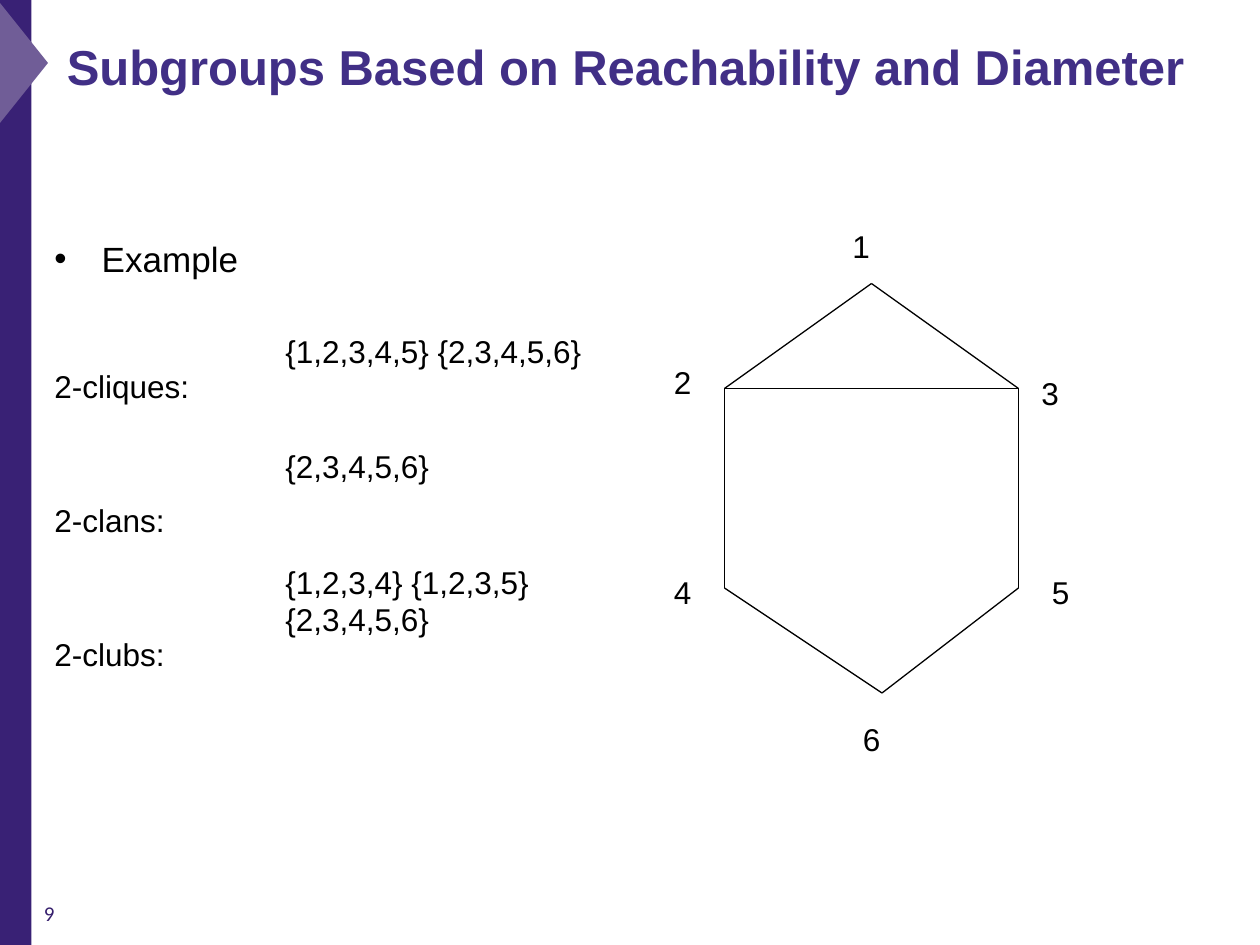
"""Build the slide on subgroups based on reachability and diameter."""
from lxml import etree
from pptx import Presentation
from pptx.dml.color import RGBColor
from pptx.enum.shapes import MSO_CONNECTOR, MSO_SHAPE
from pptx.enum.text import MSO_ANCHOR, MSO_AUTO_SIZE, PP_ALIGN
from pptx.oxml.ns import qn
from pptx.util import Pt

RECT, WEDGE = MSO_SHAPE.RECTANGLE, MSO_SHAPE.ISOSCELES_TRIANGLE
LINE = MSO_CONNECTOR.STRAIGHT
LEFT, TOP, BOTTOM = PP_ALIGN.LEFT, MSO_ANCHOR.TOP, MSO_ANCHOR.BOTTOM
FIXED = MSO_AUTO_SIZE.NONE

THEME = {
    "font": "Arial", "alt": "Calibri",
    "ink": "000000", "title": "412F86", "bar": "392175",
    "wedge": "705D97", "page": "361F6D",
    "head": 28, "lead": 20, "text": 18, "small": 12, "line": 0.75,
}

TITLE = "Subgroups Based on Reachability and Diameter"
PAGE = "9"
TERMS = ["Example", "2-cliques:", "2-clans:", "2-clubs:"]
GAPS = [2, 50, 55, 55]
SETS = [
    "{1,2,3,4,5} {2,3,4,5,6}",
    "{2,3,4,5,6}",
    "{1,2,3,4} {1,2,3,5}\n{2,3,4,5,6}",
]
NODES = {
    "1": (498, 162), "2": (414, 222), "3": (582, 222),
    "4": (414, 336), "5": (582, 336), "6": (504, 396),
}
TAGS = {
    "1": (480, 126), "2": (378, 204), "3": (588, 210),
    "4": (378, 324), "5": (594, 324), "6": (486, 408),
}
EDGES = ["12", "24", "46", "65", "13", "35", "23"]


def color(name):
    return RGBColor.from_string(THEME[name])


def place(shape, box):
    shape.left, shape.top, shape.width, shape.height = map(Pt, box)


def write(shape, text, size="text", ink="ink", font="font", bold=False, anchor=TOP):
    frame = shape.text_frame
    frame.text = text
    frame.word_wrap = True
    frame.auto_size = FIXED
    frame.vertical_anchor = anchor
    for para in frame.paragraphs:
        para.alignment = LEFT
        for run in para.runs:
            run.font.name = THEME[font]
            run.font.size = Pt(THEME[size])
            run.font.bold = bold
            run.font.color.rgb = color(ink)
    return frame


def add_text(slide, box, text, **style):
    return write(slide.shapes.add_textbox(*map(Pt, box)), text, **style)


def add_block(slide, kind, box, fill, turn=0):
    shape = slide.shapes.add_shape(kind, *map(Pt, box))
    shape.shadow.inherit = False
    shape.fill.solid()
    shape.fill.fore_color.rgb = color(fill)
    shape.line.fill.background()
    shape.rotation = turn


def add_edge(slide, start, end):
    edge = slide.shapes.add_connector(LINE, *map(Pt, start + end))
    edge.line.color.rgb = color("ink")
    edge.line.width = Pt(THEME["line"])
    etree.SubElement(edge._element.spPr, qn("a:effectLst"))


def add_terms(slide):
    frame = add_text(slide, (24, 132, 120, 314), "\n".join(TERMS))
    for para, gap in zip(frame.paragraphs, GAPS):
        para.space_before = Pt(gap)
    lead = frame.paragraphs[0]
    lead.runs[0].font.size = Pt(THEME["lead"])
    props = lead._p.get_or_add_pPr()
    props.set("marL", str(Pt(27)))
    props.set("indent", str(-Pt(27)))
    etree.SubElement(props, qn("a:buFont")).set("typeface", THEME["font"])
    etree.SubElement(props, qn("a:buChar")).set("char", "•")


def main():
    deck = Presentation()
    deck.slide_width, deck.slide_height = Pt(720), Pt(540)
    slide = deck.slides.add_slide(deck.slide_layouts[5])
    add_block(slide, RECT, (-0.7, 0, 18.7, 540), "bar")
    add_block(slide, WEDGE, (-23, 21.6, 72, 28.8), "wedge", 90)
    head = slide.shapes.title
    place(head, (31, 7.2, 672.5, 51))
    write(head, TITLE, size="head", ink="title", bold=True, anchor=BOTTOM)
    add_terms(slide)
    for start, end in EDGES:
        add_edge(slide, NODES[start], NODES[end])
    for name, spot in TAGS.items():
        add_text(slide, spot + (30, 29), name)
    for row, text in enumerate(SETS):
        high = 31 + 24 * text.count("\n")
        add_text(slide, (156, 186 + 66 * row, 205, high), text)
    add_text(slide, (18, 511, 168, 29), PAGE, size="small", ink="page", font="alt")
    deck.save("out.pptx")


if __name__ == "__main__":
    main()
